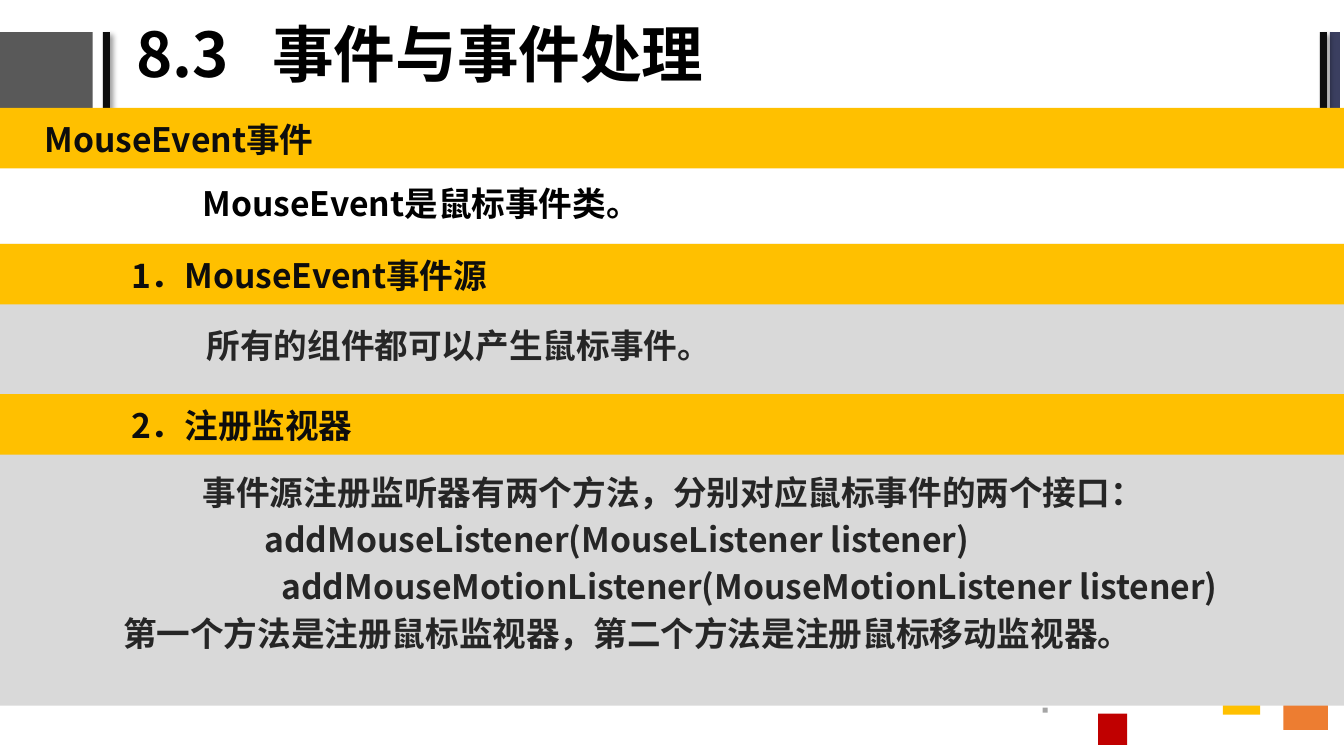
"""Build the slide on mouse events and registering their listeners."""
from dataclasses import dataclass

from lxml import etree
from pptx import Presentation
from pptx.dml.color import RGBColor
from pptx.enum.shapes import MSO_SHAPE
from pptx.enum.text import MSO_ANCHOR, PP_ALIGN
from pptx.oxml.ns import qn
from pptx.util import Inches, Pt

RECT = MSO_SHAPE.RECTANGLE
MIDDLE, TOP = MSO_ANCHOR.MIDDLE, MSO_ANCHOR.TOP
LEFT = PP_ALIGN.LEFT


@dataclass(frozen=True)
class Theme:
    font: str = "Noto Sans CJK SC"
    title_size: int = 44
    body_size: int = 24
    black: str = "000000"
    ink: str = "0D0D0D"
    body: str = "262626"
    slate: str = "595959"
    navy: str = "3B3F60"
    gold: str = "FFC000"
    orange: str = "ED7D31"
    red: str = "C00000"
    silver: str = "A5A5A5"
    panel: str = "D9D9D9"


T = Theme()
SLIDE_W = 13.33
BAND_H = 0.6

prs = Presentation()
prs.slide_width, prs.slide_height = Inches(SLIDE_W), Inches(7.5)
s = prs.slides.add_slide(prs.slide_layouts[5])


def add_rect(x, y, w, h, color):
    sp = s.shapes.add_shape(RECT, Inches(x), Inches(y), Inches(w), Inches(h))
    sp.shadow.inherit = False
    sp.fill.solid()
    sp.fill.fore_color.rgb = RGBColor.from_string(color)
    sp.line.fill.background()
    return sp


def style(p, size, color, spacing=1.0):
    p.alignment = LEFT
    p.line_spacing = spacing
    p.font.size = Pt(size)
    p.font.bold = True
    p.font.color.rgb = RGBColor.from_string(color)
    p.font.name = T.font
    def_rpr = p._p.get_or_add_pPr().find(qn("a:defRPr"))
    etree.SubElement(def_rpr, qn("a:ea")).set("typeface", T.font)


add_rect(0, 0.32, 0.92, 0.76, T.slate)
add_rect(13.19, 0.32, 0.1, 0.76, T.navy)
for x in (1.02, 13.09):
    bar = add_rect(x, 0.32, 0.07, 0.76, T.ink)
    effects = bar._element.spPr.find(qn("a:effectLst"))
    shadow = etree.SubElement(effects, qn("a:outerShdw"), blurRad=str(Pt(4)),
                              dist=str(Pt(3)), dir="2700000", algn="tl", rotWithShape="0")
    shade = etree.SubElement(shadow, qn("a:srgbClr"), val=T.black)
    etree.SubElement(shade, qn("a:alpha"), val="40000")

for x, y, w, h, color in (
    (12.73, 6.72, 0.44, 0.52, T.orange),
    (12.13, 6.69, 0.37, 0.4, T.gold),
    (10.34, 7.02, 0.05, 0.05, T.silver),
    (10.89, 7.08, 0.29, 0.31, T.red),
):
    add_rect(x, y, w, h, color)

add_rect(0, 2.42, SLIDE_W, 4.58, T.panel)
for y in (1.07, 2.42, 3.91):
    add_rect(0, y, SLIDE_W, BAND_H, T.gold)

title = s.shapes.title
title.left, title.top, title.width, title.height = (
    Inches(1.25), Inches(0.02), Inches(8.47), Inches(1.1))
tf = title.text_frame
tf.vertical_anchor = MIDDLE
tf.text = "8.3\t事件与事件处理"
p = tf.paragraphs[0]
tabs = etree.SubElement(p._p.get_or_add_pPr(), qn("a:tabLst"))
etree.SubElement(tabs, qn("a:tab"), pos=str(Inches(1.35)), algn="l")
style(p, T.title_size, T.black, 0.9)

texts = (
    (0.31, 1.11, 13.02, 0.58, T.ink, [("MouseEvent事件", 0)]),
    (1.09, 1.74, 11.33, 0.65, T.black, [("MouseEvent是鼠标事件类。", 0.79)]),
    (1.17, 2.46, 10.19, 0.58, T.ink, [("1．MouseEvent事件源", 0)]),
    (1.13, 3.15, 11.35, 0.75, T.body, [("所有的组件都可以产生鼠标事件。", 0.79)]),
    (1.17, 3.95, 10.19, 0.58, T.ink, [("2．注册监视器", 0)]),
    (1.09, 4.61, 11.35, 2.4, T.body, [
        ("事件源注册监听器有两个方法，分别对应鼠标事件的两个接口：", 0.79),
        ("addMouseListener(MouseListener listener)", 1.4),
        ("addMouseMotionListener(MouseMotionListener listener)", 1.57),
        ("第一个方法是注册鼠标监视器，第二个方法是注册鼠标移动监视器。", 0),
    ]),
)
for x, y, w, h, color, lines in texts:
    tb = s.shapes.add_textbox(Inches(x), Inches(y), Inches(w), Inches(h))
    tf = tb.text_frame
    tf.word_wrap = True
    tf.vertical_anchor = TOP
    tf.margin_left = tf.margin_right = Inches(0.13)
    tf.margin_top = tf.margin_bottom = Inches(0.07)
    for i, (line, indent) in enumerate(lines):
        p = tf.add_paragraph() if i else tf.paragraphs[0]
        p.text = line
        p._p.get_or_add_pPr().set("indent", str(Inches(indent)))
        if i:
            p.space_before = Pt(4.7)
        style(p, T.body_size, color)

prs.save("out.pptx")
